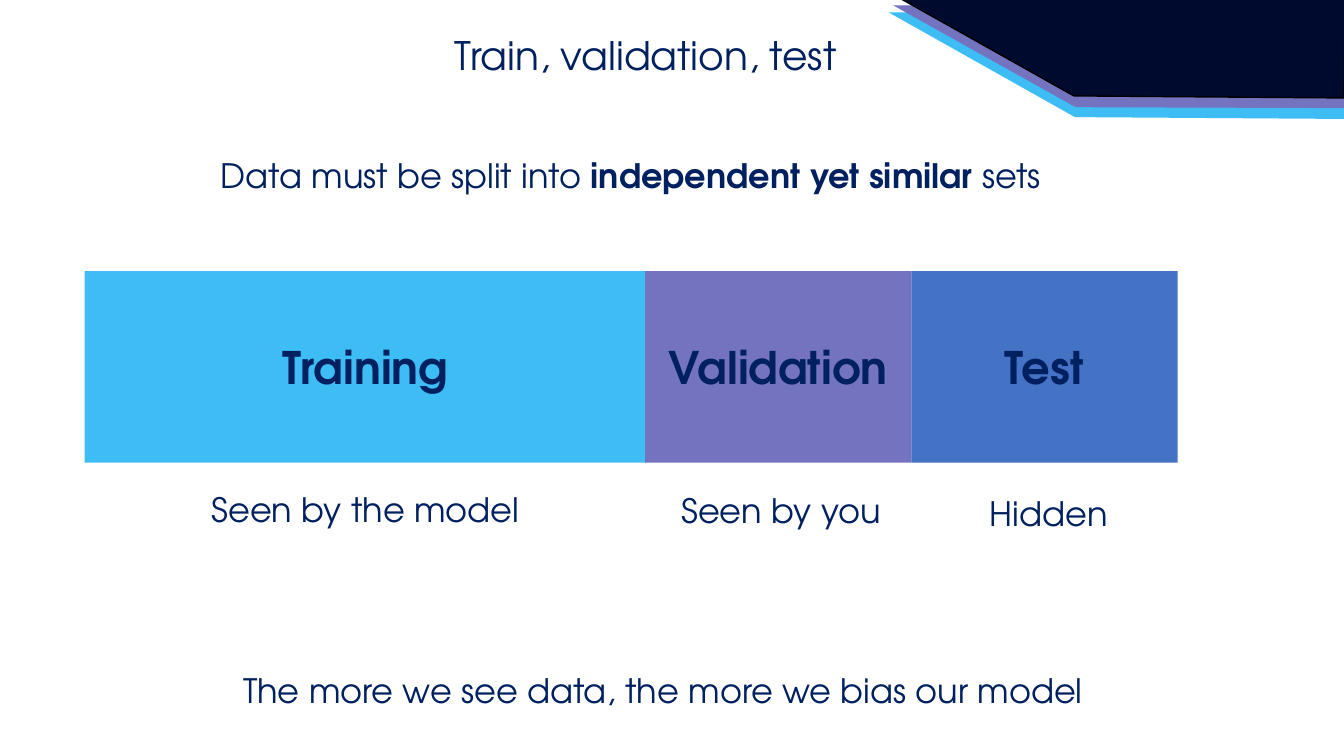
from math import cos, radians, sin

from pptx import Presentation
from pptx.dml.color import RGBColor
from pptx.enum.shapes import MSO_SHAPE
from pptx.enum.text import MSO_ANCHOR, MSO_AUTO_SIZE, PP_ALIGN
from pptx.util import Inches, Pt

FONT = "TeX Gyre Adventor"
NAVY = "002060"
TILT = 25.3


def color(hex_code):
    return RGBColor.from_string(hex_code)


def write(shape, parts, size, align=PP_ALIGN.CENTER, anchor=MSO_ANCHOR.TOP, spacing=1.0):
    """Fill a shape with one paragraph made of (text, bold) parts."""
    frame = shape.text_frame
    frame.word_wrap = True
    frame.auto_size = MSO_AUTO_SIZE.NONE
    frame.vertical_anchor = anchor
    paragraph = frame.paragraphs[0]
    paragraph.alignment = align
    paragraph.line_spacing = spacing
    for text, bold in parts:
        run = paragraph.add_run()
        run.text = text
        run.font.name = FONT
        run.font.size = Pt(size)
        run.font.bold = bold
        run.font.color.rgb = color(NAVY)


prs = Presentation()
prs.slide_width, prs.slide_height = Inches(13.33), Inches(7.5)
slide = prs.slides.add_slide(prs.slide_layouts[5])
shapes = slide.shapes

# Layered corner ornament, back to front: fill, centre, corners on the slide
corner_layers = [
    ("3EBDF5", (11.36, 0.28), [(13.55, 1.18), (13.56, 0.12), (8.81, 0.12), (10.66, 1.16)]),
    ("7373C0", (11.36, 0.2), [(13.5, 1.07), (13.51, 0.03), (8.86, 0.05), (10.67, 1.06)]),
    ("000A2F", (11.3, 0.14), [(13.33, 0.97), (13.34, -0.01), (8.94, -0.01), (10.65, 0.95)]),
]
cos_tilt, sin_tilt = cos(radians(TILT)), sin(radians(TILT))
for fill, (center_x, center_y), corners in corner_layers:
    # Turn the corners back about the centre, then tilt the whole shape
    offsets = [(x - center_x, y - center_y) for x, y in corners]
    points = [(Inches(center_x + dx * cos_tilt + dy * sin_tilt),
               Inches(center_y - dx * sin_tilt + dy * cos_tilt)) for dx, dy in offsets]
    outline = shapes.build_freeform(*points[0])
    outline.add_line_segments(points[1:], close=True)
    layer = outline.convert_to_shape()
    layer.rotation = TILT
    layer.shadow.inherit = False
    layer.fill.solid()
    layer.fill.fore_color.rgb = color(fill)
    layer.line.fill.background()
# Only the front layer is outlined
layer.line.color.rgb = color("000000")
layer.line.width = Pt(1)

# Title
title = shapes.title
title.left, title.top = Inches(1.13), Inches(0.26)
title.width, title.height = Inches(10.55), Inches(0.57)
write(title, [("Train, validation, test", False)], 28)

# Data split bar, with a caption under each set
data_sets = [
    ("Training", 0.84, 5.57, "3EBDF5", "Seen by the model", 2, 4.6, 3.82),
    ("Validation", 6.4, 2.64, "7373C0", "Seen by you", 6.66, 4.61, 3.82),
    ("Test", 9.04, 2.64, "4472C4", "Hidden", 9.72, 4.64, 2),
]
for name, left, width, fill, caption, caption_left, caption_top, caption_width in data_sets:
    segment = shapes.add_shape(
        MSO_SHAPE.RECTANGLE, Inches(left), Inches(2.69), Inches(width), Inches(1.9))
    segment.shadow.inherit = False
    segment.fill.solid()
    segment.fill.fore_color.rgb = color(fill)
    segment.line.fill.background()
    write(segment, [(name, True)], 32, anchor=MSO_ANCHOR.MIDDLE)
    visibility = shapes.add_textbox(
        Inches(caption_left), Inches(caption_top), Inches(caption_width), Inches(0.64))
    write(visibility, [(caption, False)], 24, align=PP_ALIGN.LEFT, spacing=1.5)

# Statements above and below the bar
statements = [
    (-0.41, 1.49, [("Data must be split into ", False),
                   ("independent yet similar ", True), ("sets", False)]),
    (-0.09, 6.6, [("The more we see data, the more we bias our model", False)]),
]
for left, top, parts in statements:
    statement = shapes.add_textbox(Inches(left), Inches(top), Inches(13.33), Inches(0.5))
    write(statement, parts, 24)

prs.save("out.pptx")
